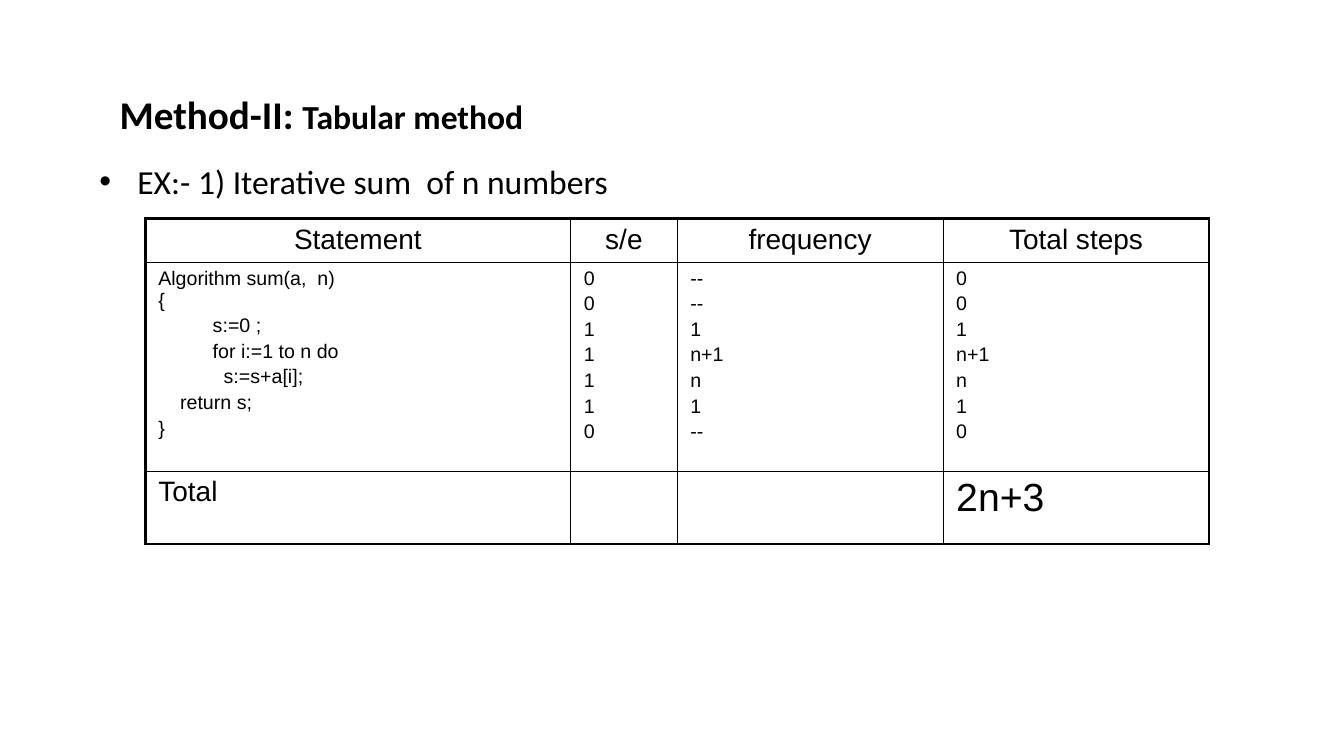
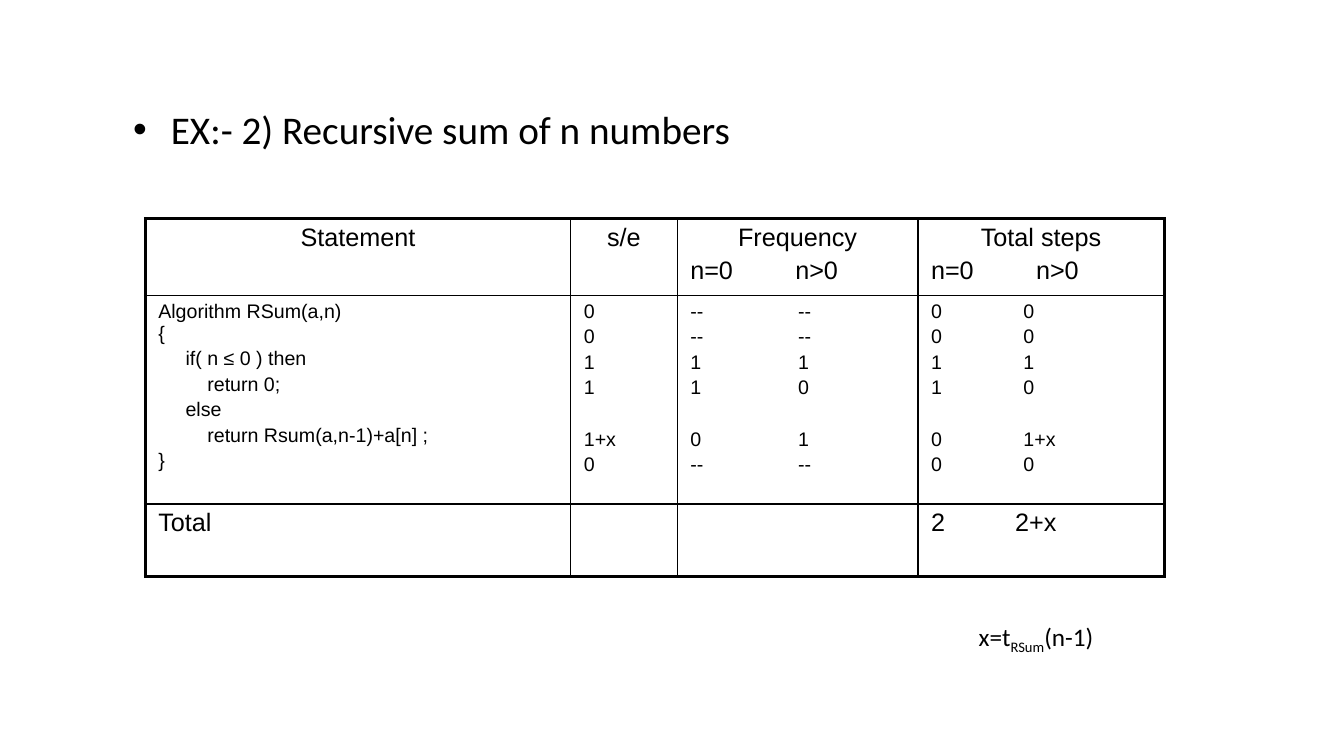
from lxml import etree
from pptx import Presentation
from pptx.dml.color import RGBColor
from pptx.enum import shapes, text
from pptx.oxml import ns
from pptx.util import Pt

BLACK = RGBColor(0, 0, 0)
WHITE = RGBColor(255, 255, 255)
HEADING_FONT, TABLE_FONT = "Calibri", "Arial"
CODE_SIZE = 14
CODE_SPACE = 3.89  # width of one space in the code font
OUTER, INNER = 2.25, 1
TABLE_LEFT, TABLE_TOP = 103.7, 156.2


def style(paragraph, size, face, bold=None):
    """Give every run of a paragraph the same black font."""
    for run in paragraph.runs:
        run.font.size, run.font.name, run.font.bold = Pt(size), face, bold
        run.font.color.rgb = BLACK


def add_border(cell, side, width):
    """Draw one side of a table cell as a solid black line."""
    line = etree.SubElement(cell._tc.get_or_add_tcPr(), ns.qn("a:ln" + side),
                            w=str(Pt(width)))
    fill = etree.SubElement(line, ns.qn("a:solidFill"))
    etree.SubElement(fill, ns.qn("a:srgbClr"), val=str(BLACK))


# Cell lines are text, (leading spaces, text) for code, or None for a skipped line.
# Tab stops belong to a (row, column) and split the n=0 and n>0 values.
examples = [
    dict(
        heading="EX:- 1) Iterative sum  of n numbers", at=(64, 111.6), size=24,
        columns=[304, 76, 190, 190], rows=[31, 149.2, 52],
        header_size=20, result_size=28, tabs={},
        cells=[
            [["Statement"], ["s/e"], ["frequency"], ["Total steps"]],
            [["Algorithm sum(a,  n)\v{", (10, "s:=0 ;"), (10, "for i:=1 to n do"),
              (12, "s:=s+a[i];"), (4, "return s;"), "}"],
             ["0", "0", "1", "1", "1", "1", "0"],
             ["--", "--", "1", "n+1", "n", "1", "--"],
             ["0", "0", "1", "n+1", "n", "1", "0"]],
            [["Total"], [], [], ["2n+3"]],
        ]),
    dict(
        heading="EX:- 2) Recursive sum of n numbers", at=(88, 72), size=28,
        columns=[304, 76, 172, 176], rows=[54.7, 149.2, 52],
        header_size=18, result_size=18,
        tabs={(0, 2): 75, (0, 3): 75, (1, 2): 77, (1, 3): 66, (2, 3): 60},
        cells=[
            [["Statement"], ["s/e"], ["Frequency", "n=0\tn>0"],
             ["Total steps", "n=0\tn>0"]],
            [["Algorithm RSum(a,n)\v{", (5, "if( n ≤ 0 ) then"), (9, "return 0;"),
              (5, "else"), (9, "return Rsum(a,n-1)+a[n] ;"), "}"],
             ["0", "0", "1", "1", None, "1+x", "0"],
             ["--\t--", "--\t--", "1\t1", "1\t0", None, "0\t1", "--\t--"],
             ["0\t0", "0\t0", "1\t1", "1\t0", None, "0\t1+x", "0\t0"]],
            [["Total"], [], [], ["2\t2+x"]],
        ]),
]

deck = Presentation()
deck.slide_width, deck.slide_height = Pt(960), Pt(540)
iterative, recursive = [deck.slides.add_slide(deck.slide_layouts[6]) for _ in examples]

# Method title
title = iterative.shapes.add_textbox(Pt(48), Pt(41.8), Pt(864), Pt(69.8)).text_frame
title.word_wrap = True
title.vertical_anchor = text.MSO_ANCHOR.MIDDLE
title.margin_left, title.margin_top = Pt(37.5), Pt(12.8)
for words, size in [("Method-II: ", 28), ("Tabular method", 24)]:
    title.paragraphs[0].add_run().text = words
style(title.paragraphs[0], 28, HEADING_FONT, True)
title.paragraphs[0].runs[1].font.size = Pt(24)

for slide, example in zip((iterative, recursive), examples):
    # Bulleted example heading
    left, top = example["at"]
    frame = slide.shapes.add_textbox(Pt(left), Pt(top), Pt(640), Pt(68.4)).text_frame
    frame.word_wrap = True
    heading = frame.paragraphs[0]
    heading.text = example["heading"]
    style(heading, example["size"], HEADING_FONT)
    bullet = heading._p.get_or_add_pPr()
    bullet.set("marL", str(Pt(27)))
    bullet.set("indent", str(Pt(-27)))
    etree.SubElement(bullet, ns.qn("a:buFont"), typeface=TABLE_FONT)
    etree.SubElement(bullet, ns.qn("a:buChar"), char="•")

    # Step count table
    columns, rows = example["columns"], example["rows"]
    steps = slide.shapes.add_table(len(rows), len(columns), Pt(TABLE_LEFT), Pt(TABLE_TOP),
                                   Pt(sum(columns)), Pt(sum(rows))).table
    steps.first_row = steps.horz_banding = False
    for column, width in zip(steps.columns, columns):
        column.width = Pt(width)
    for row, height in zip(steps.rows, rows):
        row.height = Pt(height)
    last_row, last_column = len(rows) - 1, len(columns) - 1
    for r, row_cells in enumerate(example["cells"]):
        for c, lines in enumerate(row_cells):
            cell = steps.cell(r, c)
            cell.margin_left = cell.margin_right = Pt(9.4)
            cell.margin_top = cell.margin_bottom = Pt(3.6)
            for side, is_outer in [("L", c == 0), ("R", c == last_column),
                                   ("T", r == 0), ("B", r == last_row)]:
                add_border(cell, side, OUTER if is_outer else INNER)
            cell.fill.background()

            size = CODE_SIZE if r == 1 else example["header_size"]
            if (r, c) == (last_row, last_column):
                size = example["result_size"]
            gap = size * 0.18
            space_before = 0
            for i, line in enumerate(lines):
                if line is None:
                    space_before += size * 1.15 + gap
                    continue
                spaces, words = line if isinstance(line, tuple) else (0, line)
                paragraph = cell.text_frame.paragraphs[0]
                if i > 0:
                    paragraph = cell.text_frame.add_paragraph()
                paragraph.text = words
                paragraph.space_before = Pt(space_before)
                space_before = gap
                if r == 0 and i == 0:
                    paragraph.alignment = text.PP_ALIGN.CENTER
                style(paragraph, size, TABLE_FONT)
                properties = paragraph._p.get_or_add_pPr()
                if spaces:
                    properties.set("marL", str(Pt(spaces * CODE_SPACE)))
                if "\t" in words:
                    stops = etree.SubElement(properties, ns.qn("a:tabLst"))
                    etree.SubElement(stops, ns.qn("a:tab"), algn="l",
                                     pos=str(Pt(example["tabs"][r, c])))

# Meaning of x
note = recursive.shapes.add_shape(shapes.MSO_SHAPE.RECTANGLE,
                                  Pt(640), Pt(432), Pt(200), Pt(48))
note.shadow.inherit = False
note.fill.solid()
note.fill.fore_color.rgb = note.line.color.rgb = WHITE
note.line.width = Pt(0.75)
note.text_frame.word_wrap = False
note.text_frame.vertical_anchor = text.MSO_ANCHOR.MIDDLE
formula = note.text_frame.paragraphs[0]
formula.alignment = text.PP_ALIGN.CENTER
for words in ("x=t", "RSum", "(n-1)"):
    formula.add_run().text = words
style(formula, 18, HEADING_FONT)
formula.runs[1]._r.get_or_add_rPr().set("baseline", "-25000")

deck.save("out.pptx")
